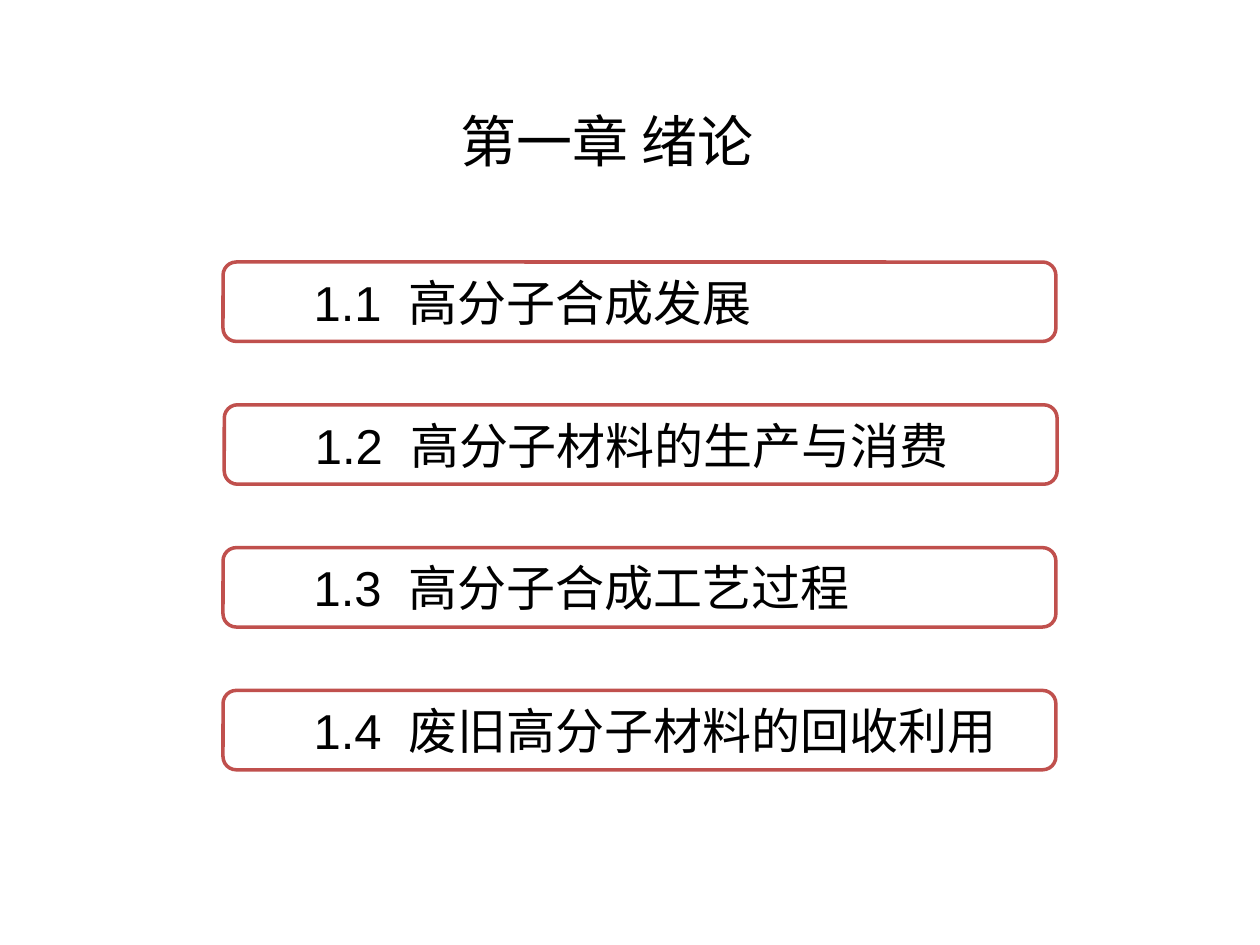
from typing import NamedTuple

from lxml.etree import SubElement
from pptx import Presentation
from pptx.dml.color import RGBColor
from pptx.enum.shapes import MSO_SHAPE as Shape
from pptx.enum.text import MSO_ANCHOR as Anchor, MSO_AUTO_SIZE as AutoSize, PP_ALIGN as Align
from pptx.oxml.ns import qn
from pptx.slide import Slide
from pptx.util import Inches, Pt

CJK_FONT = "Noto Sans CJK SC"
BLACK, WHITE, RED = "000000", "FFFFFF", "C0504D"
FIRST_TOP, PITCH = 2.08, 3.4 / 3
GAP_SPACING = 7.8  # points added to the space after a section number


class Section(NamedTuple):
    number: str
    name: str
    left: float = 1.77


SECTIONS = [
    Section("1.1", "高分子合成发展"),
    Section("1.2", "高分子材料的生产与消费", left=1.78),
    Section("1.3", "高分子合成工艺过程"),
    Section("1.4", "废旧高分子材料的回收利用"),
]


def color(value: str) -> RGBColor:
    return RGBColor.from_string(value)


def format_runs(para, size: float, font: str) -> None:
    for span in para.runs:
        span.font.size = Pt(size)
        span.font.color.rgb = color(BLACK)
        span.font.name = font
        SubElement(span.font._element, qn("a:ea"), typeface=CJK_FONT)


def indent_first_line(para, indent: float) -> None:
    properties = para._p.get_or_add_pPr()
    properties.set("marL", "0")
    properties.set("indent", str(Inches(indent)))


def add_title(slide: Slide, text: str) -> None:
    box = slide.shapes.add_textbox(Inches(3.56), Inches(0.8), Inches(2.67), Inches(0.64))
    frame = box.text_frame
    frame.word_wrap = False
    frame.auto_size = AutoSize.SHAPE_TO_FIT_TEXT
    frame.text = text
    format_runs(frame.paragraphs[0], 32, CJK_FONT)


def add_section(slide: Slide, section: Section, top: float) -> None:
    box = slide.shapes.add_shape(
        Shape.ROUNDED_RECTANGLE, Inches(section.left), Inches(top), Inches(6.61), Inches(0.63)
    )
    box.shadow.inherit = False
    box.fill.solid()
    box.fill.fore_color.rgb = color(WHITE)
    box.line.color.rgb = color(RED)
    box.line.width = Pt(2)
    frame = box.text_frame
    frame.word_wrap = True
    frame.vertical_anchor = Anchor.MIDDLE
    para = frame.paragraphs[0]
    para.alignment = Align.LEFT
    indent_first_line(para, 0.59)
    for text in (section.number, " ", section.name):
        para.add_run().text = text
    format_runs(para, 28, "Arial")
    gap = para.runs[1]
    gap.font._element.set("spc", str(round(GAP_SPACING * 100)))


def main() -> None:
    deck = Presentation()
    deck.slide_width, deck.slide_height = Inches(10), Inches(7.5)
    slide = deck.slides.add_slide(deck.slide_layouts[6])
    add_title(slide, "第一章 绪论")
    for row, section in enumerate(SECTIONS):
        add_section(slide, section, FIRST_TOP + row * PITCH)
    deck.save("out.pptx")


if __name__ == "__main__":
    main()
